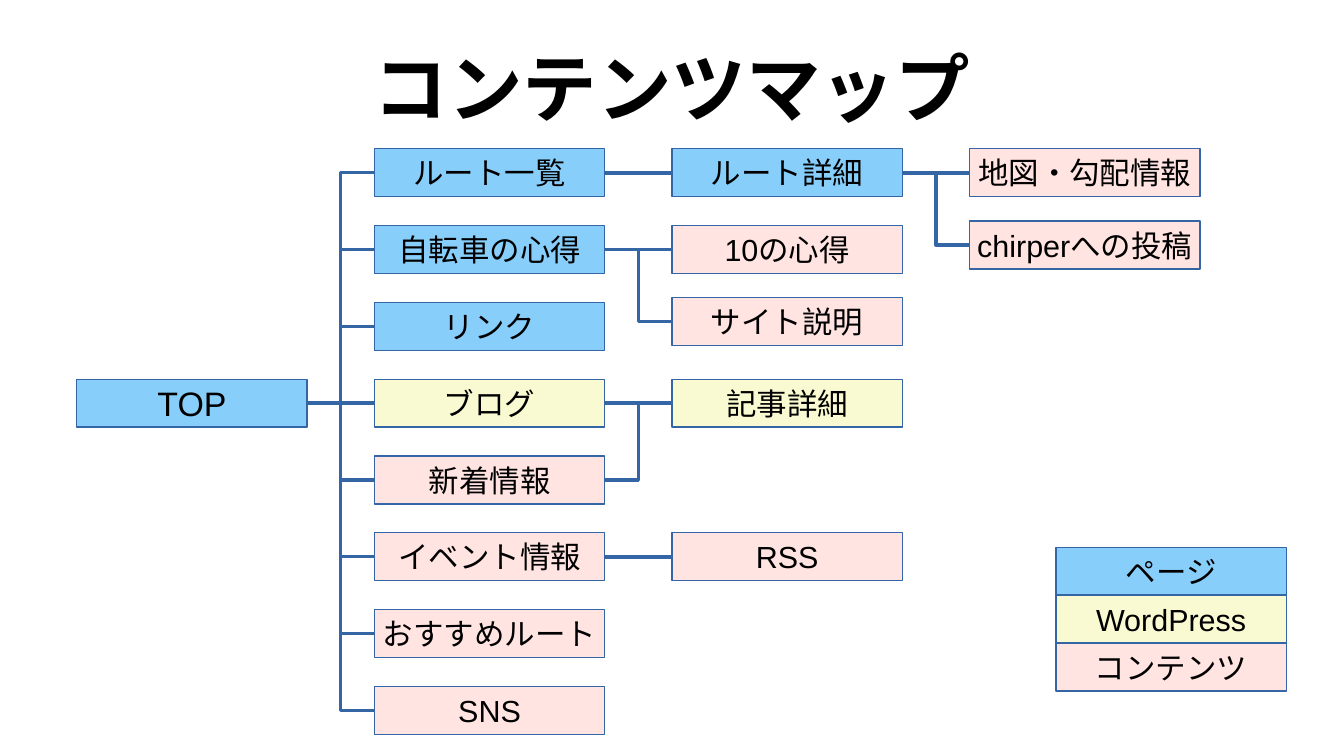
"""Build the content map slide of a cycling route site."""
import pptx
import pptx.dml.color
import pptx.enum.shapes
import pptx.enum.text
import pptx.oxml
import pptx.oxml.ns
import pptx.util
from pptx.util import Cm

TITLE = "コンテンツマップ"
PAGE, BLOG, CONTENT = "87CEFA", "FAFAD2", "FFE4E1"
OUTLINE, INK = "3465A4", "000000"
LATIN, JAPANESE = "Arial", "Noto Sans CJK JP"

# Each entry: label, column, row, colour
ENTRIES = [
    ("TOP", 0, 3, PAGE),
    ("ルート一覧", 1, 0, PAGE),
    ("自転車の心得", 1, 1, PAGE),
    ("リンク", 1, 2, PAGE),
    ("ブログ", 1, 3, BLOG),
    ("新着情報", 1, 4, CONTENT),
    ("イベント情報", 1, 5, CONTENT),
    ("おすすめルート", 1, 6, CONTENT),
    ("SNS", 1, 7, CONTENT),
    ("ルート詳細", 2, 0, PAGE),
    ("10の心得", 2, 1, CONTENT),
    ("サイト説明", 2, 1.94, CONTENT),
    ("記事詳細", 2, 3, BLOG),
    ("RSS", 2, 5, CONTENT),
    ("地図・勾配情報", 3, 0, CONTENT),
    ("chirperへの投稿", 3, 0.94, CONTENT),
]
LINKS = [("TOP", label) for label, column, _, _ in ENTRIES if column == 1] + [
    ("ルート一覧", "ルート詳細"),
    ("自転車の心得", "10の心得"),
    ("自転車の心得", "サイト説明"),
    ("ブログ", "記事詳細"),
    ("新着情報", "記事詳細"),
    ("イベント情報", "RSS"),
    ("ルート詳細", "地図・勾配情報"),
    ("ルート詳細", "chirperへの投稿"),
]
LEGEND = [("ページ", PAGE), ("WordPress", BLOG), ("コンテンツ", CONTENT)]

MAP_LEFT, MAP_TOP, COLUMN_STEP, ROW_STEP = 1.6, 3.1, 6.2, 1.6
BOX_WIDTH, BOX_HEIGHT = 4.8, 1
LEGEND_LEFT, LEGEND_TOP = 22, 11.4
RIGHT_SIDE, LEFT_SIDE = 3, 1


def colour(value):
    return pptx.dml.color.RGBColor.from_string(value)


def write(frame, text, size=18, bold=False, latin=LATIN, wrap=False):
    frame.word_wrap = wrap
    frame.auto_size = pptx.enum.text.MSO_AUTO_SIZE.NONE
    frame.vertical_anchor = pptx.enum.text.MSO_ANCHOR.MIDDLE
    paragraph = frame.paragraphs[0]
    paragraph.alignment = pptx.enum.text.PP_ALIGN.CENTER
    run = paragraph.add_run()
    run.text = text
    run.font.size = pptx.util.Pt(size)
    run.font.bold = bold
    run.font.color.rgb = colour(INK)
    run.font.name = latin
    east_asian = pptx.oxml.ns.qn("a:ea")
    run.font._element.makeelement(east_asian)
    pptx_font = pptx.oxml.parse_xml(
        f'<a:ea {pptx.oxml.ns.nsdecls("a")} typeface="{JAPANESE}"/>')
    run.font._element.append(pptx_font)


def draw_outline(line):
    line.color.rgb = colour(OUTLINE)
    line.width = pptx.util.Pt(0)


def add_box(slide, text, left, top, fill, size=18):
    box = slide.shapes.add_shape(
        pptx.enum.shapes.MSO_SHAPE.RECTANGLE,
        Cm(left), Cm(top), Cm(BOX_WIDTH), Cm(BOX_HEIGHT))
    box.shadow.inherit = False
    box.fill.solid()
    box.fill.fore_color.rgb = colour(fill)
    draw_outline(box.line)
    write(box.text_frame, text, size=size)
    return box


def add_link(slide, parent, child):
    kinds = pptx.enum.shapes.MSO_CONNECTOR
    kind = kinds.STRAIGHT if parent.top == child.top else kinds.ELBOW
    link = slide.shapes.add_connector(
        kind, parent.left + parent.width, parent.top + parent.height // 2,
        child.left, child.top + child.height // 2)
    link.begin_connect(parent, RIGHT_SIDE)
    link.end_connect(child, LEFT_SIDE)
    draw_outline(link.line)
    link._element.spPr.append(pptx.oxml.parse_xml(
        f'<a:effectLst {pptx.oxml.ns.nsdecls("a")}/>'))


def main():
    deck = pptx.Presentation()
    deck.slide_width, deck.slide_height = Cm(28), Cm(15.75)
    slide = deck.slides.add_slide(deck.slide_layouts[5])

    title = slide.shapes.title
    title.left, title.top = Cm(1.4), Cm(0.63)
    title.width, title.height = Cm(25.2), Cm(2.36)
    heading = title.text_frame
    heading.margin_left = heading.margin_right = 0
    heading.margin_top = heading.margin_bottom = 0
    write(heading, TITLE, size=44, bold=True, latin=JAPANESE, wrap=True)

    boxes = {}
    for label, column, row, fill in ENTRIES:
        boxes[label] = add_box(
            slide, label, MAP_LEFT + column * COLUMN_STEP,
            MAP_TOP + row * ROW_STEP, fill, size=18 if column else 20)
    for parent, child in LINKS:
        add_link(slide, boxes[parent], boxes[child])
    for order, (label, fill) in enumerate(LEGEND):
        add_box(slide, label, LEGEND_LEFT, LEGEND_TOP + order * BOX_HEIGHT, fill)

    deck.save("out.pptx")


if __name__ == "__main__":
    main()
